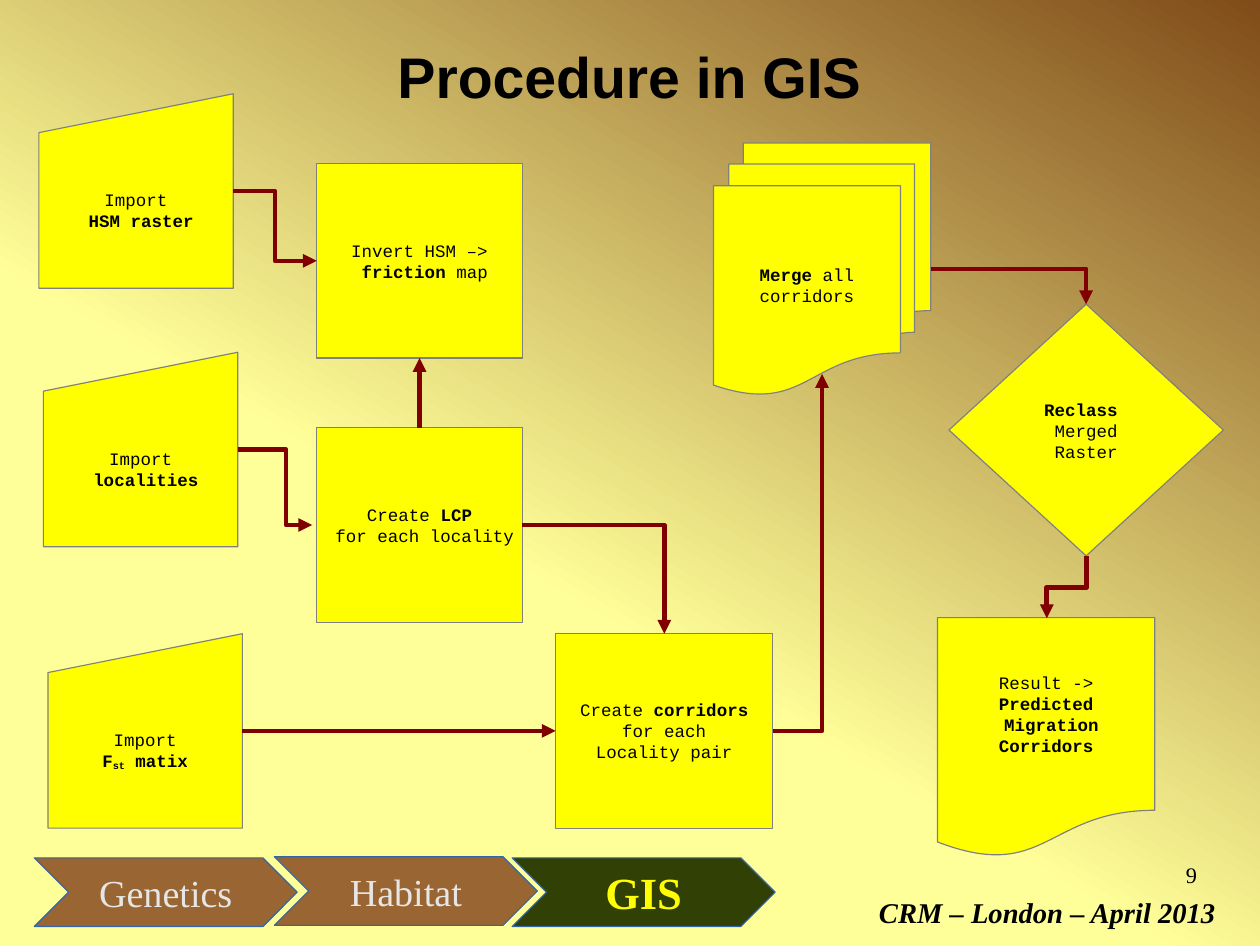
"""Build the GIS procedure flowchart slide."""
from dataclasses import dataclass

from lxml.etree import SubElement
from pptx import Presentation
from pptx.dml.color import RGBColor
from pptx.enum.shapes import MSO_CONNECTOR, MSO_SHAPE
from pptx.enum.text import MSO_ANCHOR, PP_ALIGN
from pptx.oxml.ns import qn
from pptx.util import Emu, Pt


@dataclass(frozen=True)
class Theme:
    """Hold the colours, fonts and sizes of the slide."""
    light: str = "FFFF99"
    dark: str = "804C19"
    ink: str = "000000"
    step: str = "FFFF00"
    step_line: str = "808080"
    arrow: str = "800000"
    tab: str = "996633"
    tab_text: str = "E6E6E6"
    tab_line: str = "3465A4"
    active_tab: str = "314004"
    active_text: str = "FFFF00"
    sans: str = "Arial"
    serif: str = "Times New Roman"
    mono: str = "Courier New"
    title_size: int = 36
    tab_size: int = 24
    active_size: int = 28
    footer_size: int = 18
    number_size: int = 14
    step_size: int = 11
    arrow_width: float = 2.89


@dataclass(frozen=True)
class Span:
    """Describe one run of text."""
    text: str
    bold: bool = False
    italic: bool = False
    baseline: int = 0


THEME = Theme()
PX = 9144


def px(*lengths):
    """Turn px lengths into EMU."""
    return [Emu(length * PX) for length in lengths]


def bold(text, baseline=0):
    """Return a bold span."""
    return Span(text, bold=True, baseline=baseline)


def write(frame, lines, font, size, color, align=PP_ALIGN.CENTER):
    """Fill a text frame with lines of spans."""
    for index, spans in enumerate(lines):
        para = frame.add_paragraph() if index else frame.paragraphs[0]
        para.alignment = align
        for span in spans:
            run = para.add_run()
            run.text = span.text
            run.font.name = font
            run.font.size = Pt(size)
            run.font.bold = span.bold
            run.font.italic = span.italic
            run.font.color.rgb = RGBColor.from_string(color)
            if span.baseline:
                run._r.get_or_add_rPr().set("baseline", str(span.baseline * 1000))


def clear_margins(frame):
    """Remove the insets of a text frame."""
    frame.margin_left = frame.margin_right = 0
    frame.margin_top = frame.margin_bottom = 0


def add_label(page, area, span, font, size, align, anchor=MSO_ANCHOR.TOP):
    """Add a one-line text box."""
    frame = page.shapes.add_textbox(*px(*area)).text_frame
    clear_margins(frame)
    frame.word_wrap = True
    frame.vertical_anchor = anchor
    write(frame, [[span]], font, size, THEME.ink, align)


def add_block(page, kind, area, fill, line):
    """Add a filled, hairline-edged shape ready for centred text."""
    box = page.shapes.add_shape(kind, *px(*area))
    box.shadow.inherit = False
    box.fill.solid()
    box.fill.fore_color.rgb = RGBColor.from_string(fill)
    box.line.color.rgb = RGBColor.from_string(line)
    box.line.width = Pt(0)
    box.text_frame.word_wrap = False
    box.text_frame.vertical_anchor = MSO_ANCHOR.MIDDLE
    return box


def add_step(page, kind, area, *lines):
    """Add one flowchart step."""
    box = add_block(page, kind, area, THEME.step, THEME.step_line)
    write(box.text_frame, lines, THEME.mono, THEME.step_size, THEME.ink)
    return box


def add_tab(page, left, top, span, fill, size, color):
    """Add one chevron of the progress bar."""
    tab = add_block(page, MSO_SHAPE.CHEVRON, (left, top, 230, 60), fill, THEME.tab_line)
    tab.adjustments[0] = 0.5
    clear_margins(tab.text_frame)
    write(tab.text_frame, [[span]], THEME.serif, size, color)


def add_arrow(page, kind, start=(0, 0), end=(0, 0)):
    """Add a connector with an arrowhead at its end."""
    arrow = page.shapes.add_connector(kind, *px(*start, *end))
    arrow.line.color.rgb = RGBColor.from_string(THEME.arrow)
    arrow.line.width = Pt(THEME.arrow_width)
    SubElement(arrow.line._get_or_add_ln(), qn("a:tailEnd"), type="triangle")
    SubElement(arrow._element.spPr, qn("a:effectLst"))
    return arrow


def join(page, source, source_side, target, target_side):
    """Join two steps with a straight arrow."""
    arrow = add_arrow(page, MSO_CONNECTOR.STRAIGHT)
    arrow.begin_connect(source, source_side)
    arrow.end_connect(target, target_side)


def add_corner(page, start, end):
    """Add an arrow that runs across and then turns once."""
    arrow = add_arrow(page, MSO_CONNECTOR.ELBOW, start, end)
    arrow._element.spPr.find(qn("a:prstGeom")).set("prst", "bentConnector2")


def add_zigzag(page, start, end, bend=50, quarter_turn=False):
    """Add an arrow that turns twice, at a percentage of its length."""
    arrow = add_arrow(page, MSO_CONNECTOR.ELBOW, start, end)
    properties = arrow._element.spPr
    guides = properties.find(qn("a:prstGeom")).get_or_add_avLst()
    SubElement(guides, qn("a:gd"), name="adj1", fmla=f"val {bend * 1000}")
    if quarter_turn:
        properties.find(qn("a:xfrm")).set("rot", str(90 * 60000))


def paint_background(page):
    """Give the page its diagonal gradient."""
    fill = page.background.fill
    fill.gradient()
    fill.gradient_angle = 60
    stops = ((0.4, THEME.light), (1, THEME.dark))
    for stop, (position, color) in zip(fill.gradient_stops, stops):
        stop.position = position
        stop.color.rgb = RGBColor.from_string(color)


def add_frame(page):
    """Add the title, footer and progress bar."""
    add_label(page, (42, 33, 1017, 67), bold("Procedure in GIS"), THEME.sans,
              THEME.title_size, PP_ALIGN.CENTER, MSO_ANCHOR.MIDDLE)
    add_label(page, (714, 782, 349, 40),
              Span("CRM – London – April 2013", bold=True, italic=True),
              THEME.serif, THEME.footer_size, PP_ALIGN.RIGHT)
    add_label(page, (790, 753, 257, 57), Span("9"), THEME.serif,
              THEME.number_size, PP_ALIGN.RIGHT)
    for left, top, name in ((30, 750, "Genetics"), (240, 749, "Habitat")):
        add_tab(page, left, top, Span(name), THEME.tab, THEME.tab_size, THEME.tab_text)
    add_tab(page, 448, 750, bold("GIS"), THEME.active_tab, THEME.active_size,
            THEME.active_text)


def add_flow(page):
    """Add the flowchart steps and their arrows."""
    source, process = MSO_SHAPE.FLOWCHART_MANUAL_INPUT, MSO_SHAPE.FLOWCHART_PROCESS
    add_step(page, source, (34, 82, 170, 170), [Span("Import")], [bold(" HSM raster")])
    add_step(page, source, (38, 308, 170, 170),
             [Span("Import")], [Span(" "), bold("localities")])
    matrix = add_step(page, source, (42, 554, 170, 170), [Span("Import")],
                      [bold("F"), bold("st", -8), bold(" matix")])
    friction = add_step(page, process, (277, 143, 180, 170), [Span("Invert HSM –>")],
                        [Span(" "), bold("friction"), Span(" map")])
    paths = add_step(page, process, (277, 374, 180, 170),
                     [Span("Create "), bold("LCP")], [Span(" for each locality")])
    corridors = add_step(page, process, (486, 554, 190, 170),
                         [Span("Create "), bold("corridors")],
                         [Span(" for each ")], [Span("Locality pair")])
    add_step(page, MSO_SHAPE.FLOWCHART_MULTIDOCUMENT, (624, 125, 190, 220),
             [bold("Merge"), Span(" all")], [Span("corridors")])
    add_step(page, MSO_SHAPE.FLOWCHART_DECISION, (830, 266, 240, 220),
             [bold("Reclass ")], [Span("Merged")], [Span("Raster")])
    add_step(page, MSO_SHAPE.FLOWCHART_DOCUMENT, (820, 540, 190, 210),
             [Span("Result ->")], [bold("Predicted")],
             [Span(" "), bold("Migration")], [bold("Corridors")])
    join(page, paths, 0, friction, 2)
    join(page, matrix, 3, corridors, 1)
    add_zigzag(page, (204, 167), (277, 228))
    add_zigzag(page, (208, 393), (273, 459), bend=65)
    add_zigzag(page, (906, 496), (960, 531), quarter_turn=True)
    add_corner(page, (457, 459), (581, 554))
    add_corner(page, (676, 639), (719, 327))
    add_corner(page, (814, 235), (950, 266))


def main():
    """Build and save the deck."""
    deck = Presentation()
    deck.slide_width, deck.slide_height = px(1102, 827)
    page = deck.slides.add_slide(deck.slide_layouts[6])
    paint_background(page)
    add_frame(page)
    add_flow(page)
    deck.save("out.pptx")


if __name__ == "__main__":
    main()
